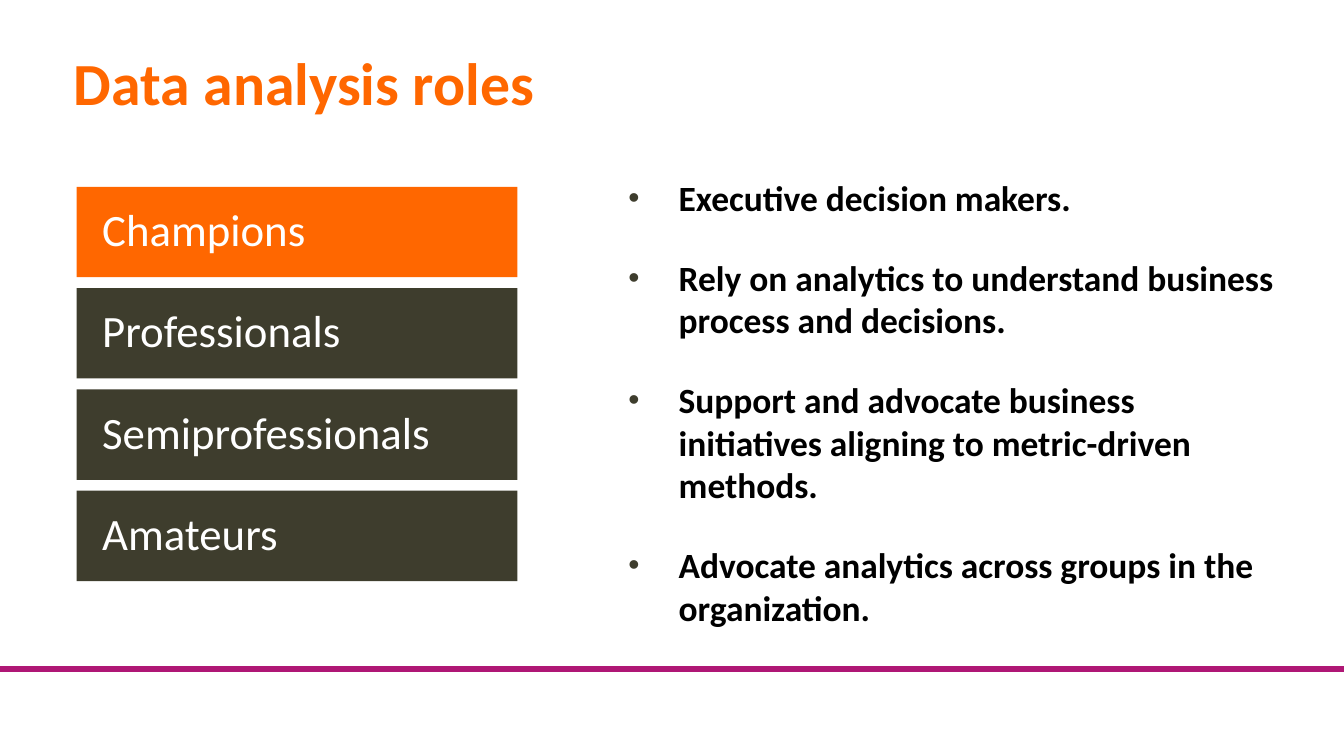
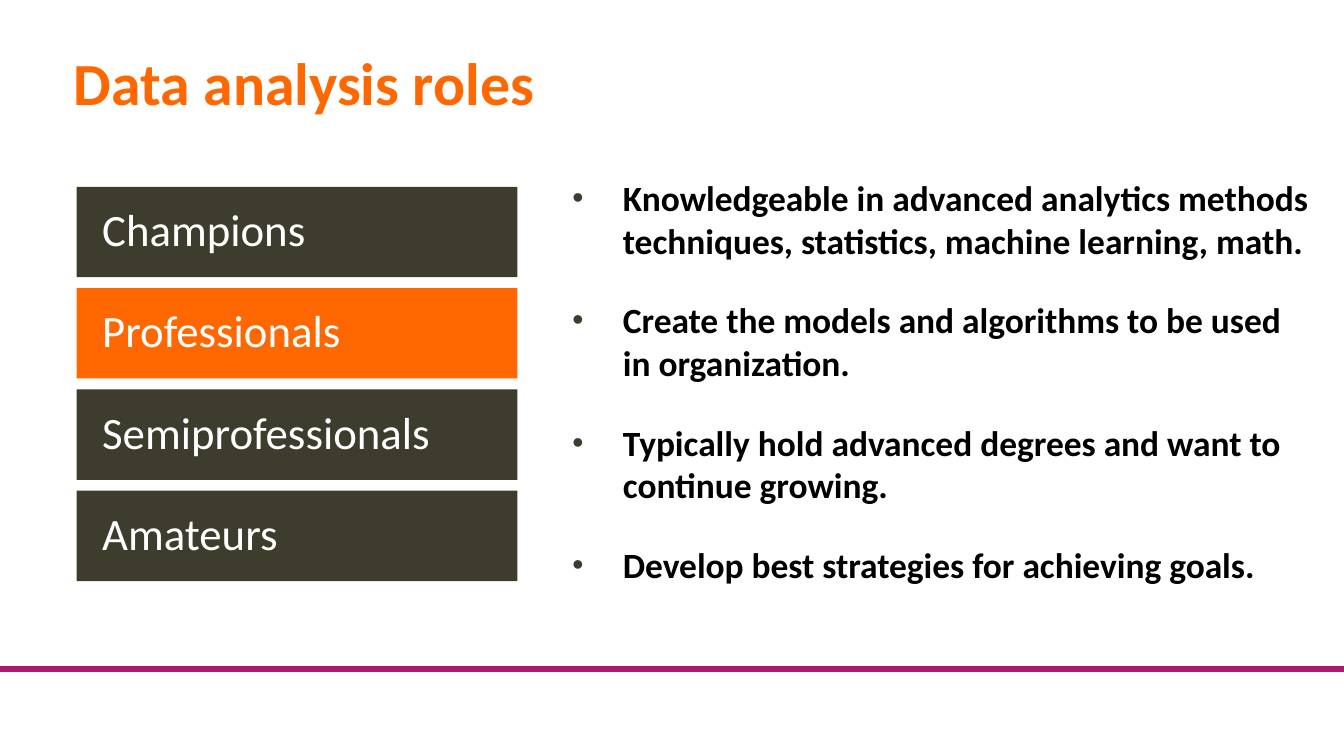
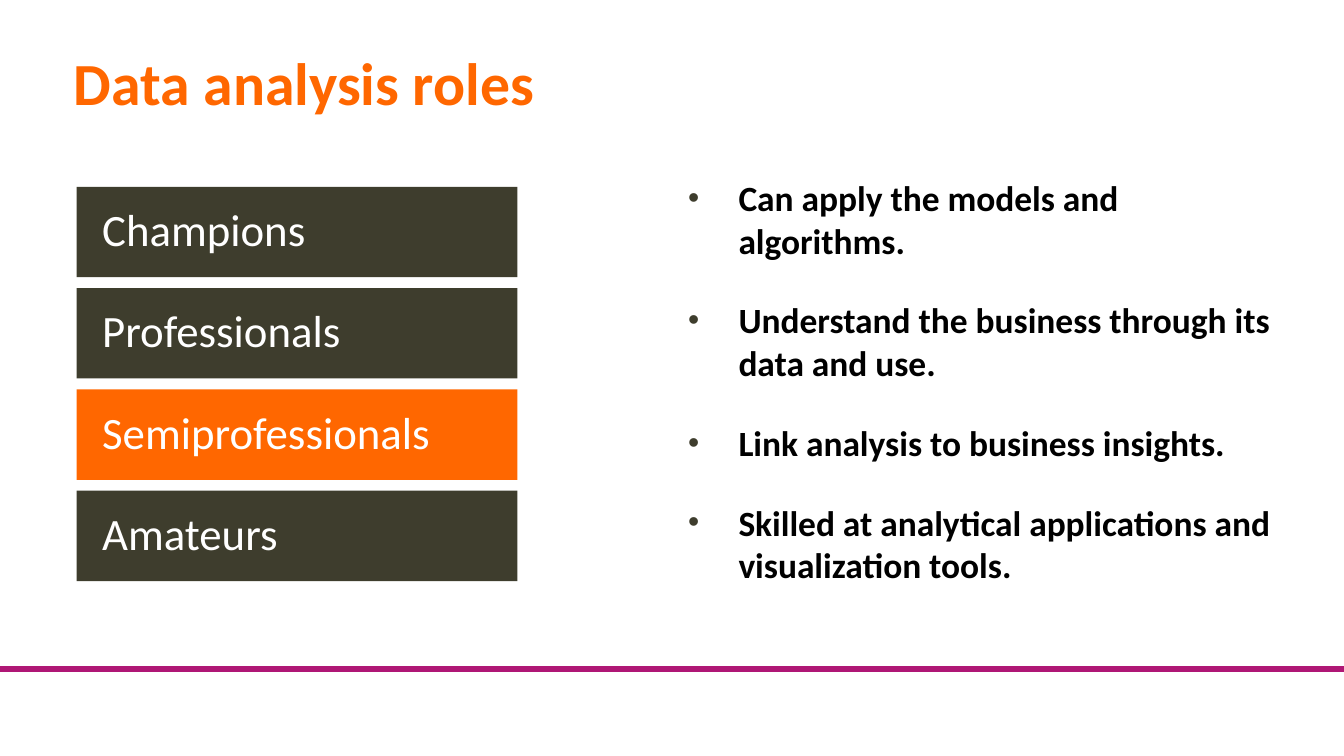
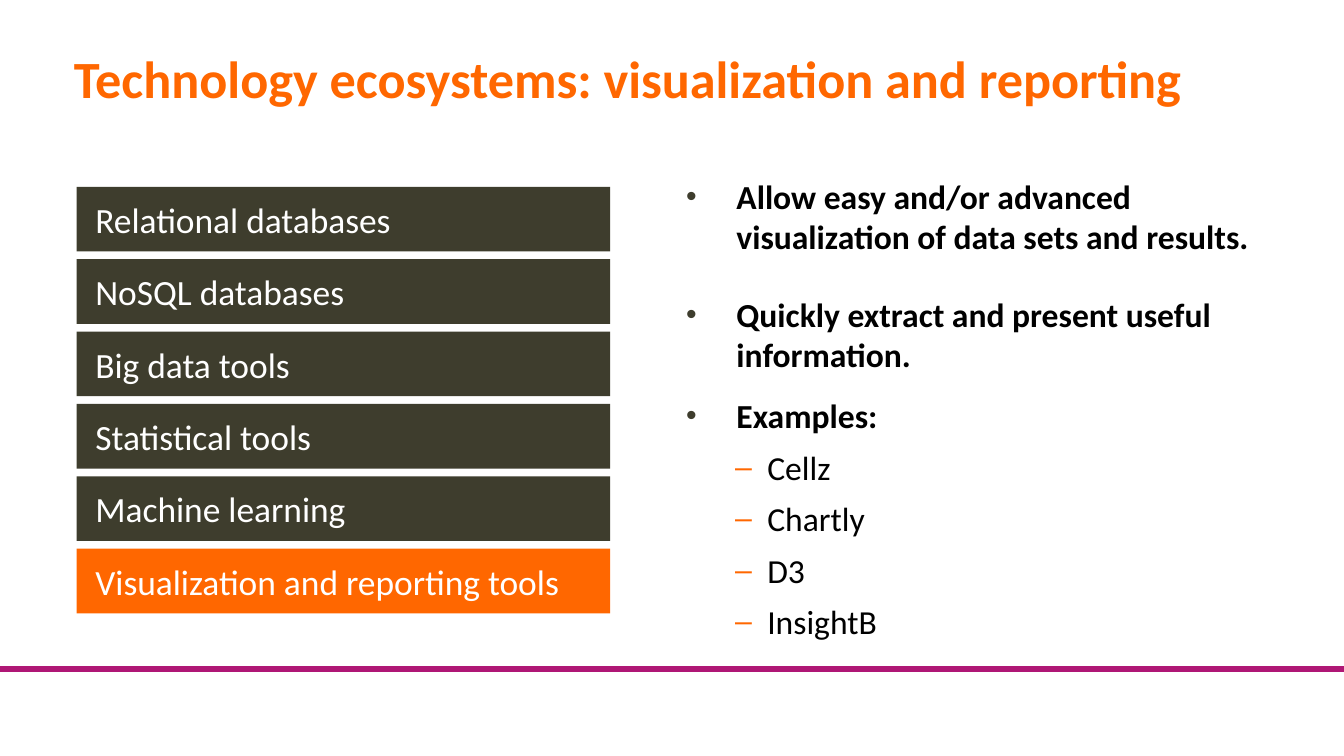
from dataclasses import dataclass

from lxml import etree
from pptx import Presentation
from pptx import util as u
from pptx.dml.color import RGBColor
from pptx.enum import shapes, text
from pptx.oxml import ns

COLORS = {
    "accent": "FF6700",
    "bar": "3E3D2D",
    "rule": "AF1775",
    "body": "000000",
    "bar_text": "FFFFFF",
}
FONT = "Calibri"
WIDTH = u.Inches(10)
HEIGHT = WIDTH * 9 // 16
CELL = WIDTH / 100  # square grid cell: 100 columns across the slide
MARGIN = 5.5
BAR_LEFT, BAR_TOP = 5.7, 13.9
BAR_PITCH = 1.12  # distance between bar tops, as a share of the bar height
BODY_TOP, BODY_ROWS = 13.1, 36.5
RULE_ROW = 49.8


@dataclass(frozen=True)
class BarStyle:
    columns: float
    rows: float
    inset: float
    size: int
    line_spacing: float


@dataclass(frozen=True)
class BulletStyle:
    char: str
    color: str
    indent: float
    hanging: float
    level: int
    bold: bool
    before: int
    after: int


@dataclass(frozen=True)
class Bullet:
    text: str
    style: BulletStyle


@dataclass(frozen=True)
class TopicSlide:
    title: str
    title_size: int
    labels: tuple[str, ...]
    active: int
    bars: BarStyle
    body_left: float
    body_columns: float
    body_size: int
    bullets: tuple[Bullet, ...]


ROLE_BARS = BarStyle(32.8, 6.73, 1.9, 24, 0.9)
TOOL_BARS = BarStyle(39.7, 4.81, 1.4, 19, 1.0)

POINT = BulletStyle("•", "bar", 3.8, 3.75, 0, True, 12, 8)
LEAD_IN = BulletStyle("•", "bar", 3.8, 3.75, 0, True, 3, 3)
EXAMPLE = BulletStyle("–", "accent", 6.1, 2.4, 1, False, 3, 3)

ROLES = ("Champions", "Professionals", "Semiprofessionals", "Amateurs")
TOOLS = (
    "Relational databases",
    "NoSQL databases",
    "Big data tools",
    "Statistical tools",
    "Machine learning",
    "Visualization and reporting tools",
)


def bullets(style: BulletStyle, *lines: str) -> tuple[Bullet, ...]:
    return tuple(Bullet(line, style) for line in lines)


def role_slide(active: int, left: float, columns: float, *lines: str) -> TopicSlide:
    return TopicSlide("Data analysis roles", 32, ROLES, active, ROLE_BARS,
                      left, columns, 19, bullets(POINT, *lines))


SLIDES = (
    role_slide(
        0, 46.7, 48.9,
        "Executive decision makers.",
        "Rely on analytics to understand business process and decisions.",
        "Support and advocate business initiatives aligning to metric-driven methods.",
        "Advocate analytics across groups in the organization.",
    ),
    role_slide(
        1, 42.55, 55,
        "Knowledgeable in advanced analytics methods techniques, statistics, "
        "machine learning, math.",
        "Create the models and algorithms to be used in organization.",
        "Typically hold advanced degrees and want to continue growing.",
        "Develop best strategies for achieving goals.",
    ),
    role_slide(
        2, 51.15, 44.5,
        "Can apply the models and algorithms.",
        "Understand the business through its data and use.",
        "Link analysis to business insights.",
        "Skilled at analytical applications and visualization tools.",
    ),
    TopicSlide(
        "Technology ecosystems: visualization and reporting", 28,
        TOOLS, 5, TOOL_BARS, 51, 46, 18,
        bullets(
            POINT,
            "Allow easy and/or advanced visualization of data sets and results.",
            "Quickly extract and present useful information.",
        )
        + bullets(LEAD_IN, "Examples:")
        + bullets(EXAMPLE, "Cellz", "Chartly", "D3", "InsightB"),
    ),
)


def grid(cells: float) -> int:
    return round(cells * CELL)


def rgb(name: str) -> RGBColor:
    return RGBColor.from_string(COLORS[name])


def set_font(p, size: int, color: str, bold: bool = False) -> None:
    for r in p.runs:
        r.font.name = FONT
        r.font.size = u.Pt(size)
        r.font.bold = bold
        r.font.color.rgb = rgb(color)


def set_frame(tf, inset: float, anchor) -> None:
    tf.word_wrap = True
    tf.auto_size = text.MSO_AUTO_SIZE.NONE
    tf.vertical_anchor = anchor
    tf.margin_left = tf.margin_right = grid(inset)
    tf.margin_top = tf.margin_bottom = grid(inset)


def set_bullet(p, style: BulletStyle) -> None:
    p.level = style.level
    props = p._p.get_or_add_pPr()
    props.set("marL", str(grid(style.indent)))
    props.set("indent", str(-grid(style.hanging)))
    color = etree.SubElement(props, ns.qn("a:buClr"))
    etree.SubElement(color, ns.qn("a:srgbClr"), val=COLORS[style.color])
    etree.SubElement(props, ns.qn("a:buSzPct"), val="90000")
    etree.SubElement(props, ns.qn("a:buFont"), typeface="Arial")
    etree.SubElement(props, ns.qn("a:buChar"), char=style.char)


def add_rule(s) -> None:
    y = grid(RULE_ROW)
    line = s.shapes.add_connector(shapes.MSO_CONNECTOR.STRAIGHT, 0, y, WIDTH, y)
    line.line.color.rgb = rgb("rule")
    line.line.width = u.Pt(3)
    etree.SubElement(line._element.spPr, ns.qn("a:effectLst"))


def add_title(s, topic: TopicSlide) -> None:
    sp = s.shapes.title
    sp.left, sp.top = grid(MARGIN), grid(4)
    sp.width, sp.height = grid(90.1), grid(6.5)
    tf = sp.text_frame
    tf.text = topic.title
    set_frame(tf, 0, text.MSO_ANCHOR.TOP)
    p = tf.paragraphs[0]
    p.alignment = text.PP_ALIGN.LEFT
    p.line_spacing = 0.9
    set_font(p, topic.title_size, "accent", True)


def add_bars(s, topic: TopicSlide) -> None:
    """Stack one bar per label, with the active one in the accent colour."""
    style = topic.bars
    group = s.shapes.add_group_shape()
    for i, label in enumerate(topic.labels):
        sp = group.shapes.add_shape(
            shapes.MSO_SHAPE.RECTANGLE,
            grid(BAR_LEFT), grid(BAR_TOP + i * style.rows * BAR_PITCH),
            grid(style.columns), grid(style.rows))
        sp.shadow.inherit = False
        sp.fill.solid()
        sp.fill.fore_color.rgb = rgb("accent" if i == topic.active else "bar")
        sp.line.fill.background()
        tf = sp.text_frame
        tf.text = label
        set_frame(tf, style.inset, text.MSO_ANCHOR.MIDDLE)
        p = tf.paragraphs[0]
        p.alignment = text.PP_ALIGN.LEFT
        p.line_spacing = style.line_spacing
        set_font(p, style.size, "bar_text")


def add_body(s, topic: TopicSlide) -> None:
    sp = s.shapes.add_textbox(grid(topic.body_left), grid(BODY_TOP),
                              grid(topic.body_columns), grid(BODY_ROWS))
    tf = sp.text_frame
    set_frame(tf, 0, text.MSO_ANCHOR.TOP)
    for i, bullet in enumerate(topic.bullets):
        p = tf.add_paragraph() if i else tf.paragraphs[0]
        p.text = bullet.text
        set_bullet(p, bullet.style)
        p.space_before = u.Pt(bullet.style.before if i else 0)
        p.space_after = u.Pt(bullet.style.after)
        set_font(p, topic.body_size, "body", bullet.style.bold)


def main() -> None:
    prs = Presentation()
    prs.slide_width, prs.slide_height = WIDTH, HEIGHT
    title_only = prs.slide_layouts[5]
    for topic in SLIDES:
        s = prs.slides.add_slide(title_only)
        add_rule(s)
        add_title(s, topic)
        add_bars(s, topic)
        add_body(s, topic)
    prs.save("out.pptx")


if __name__ == "__main__":
    main()
